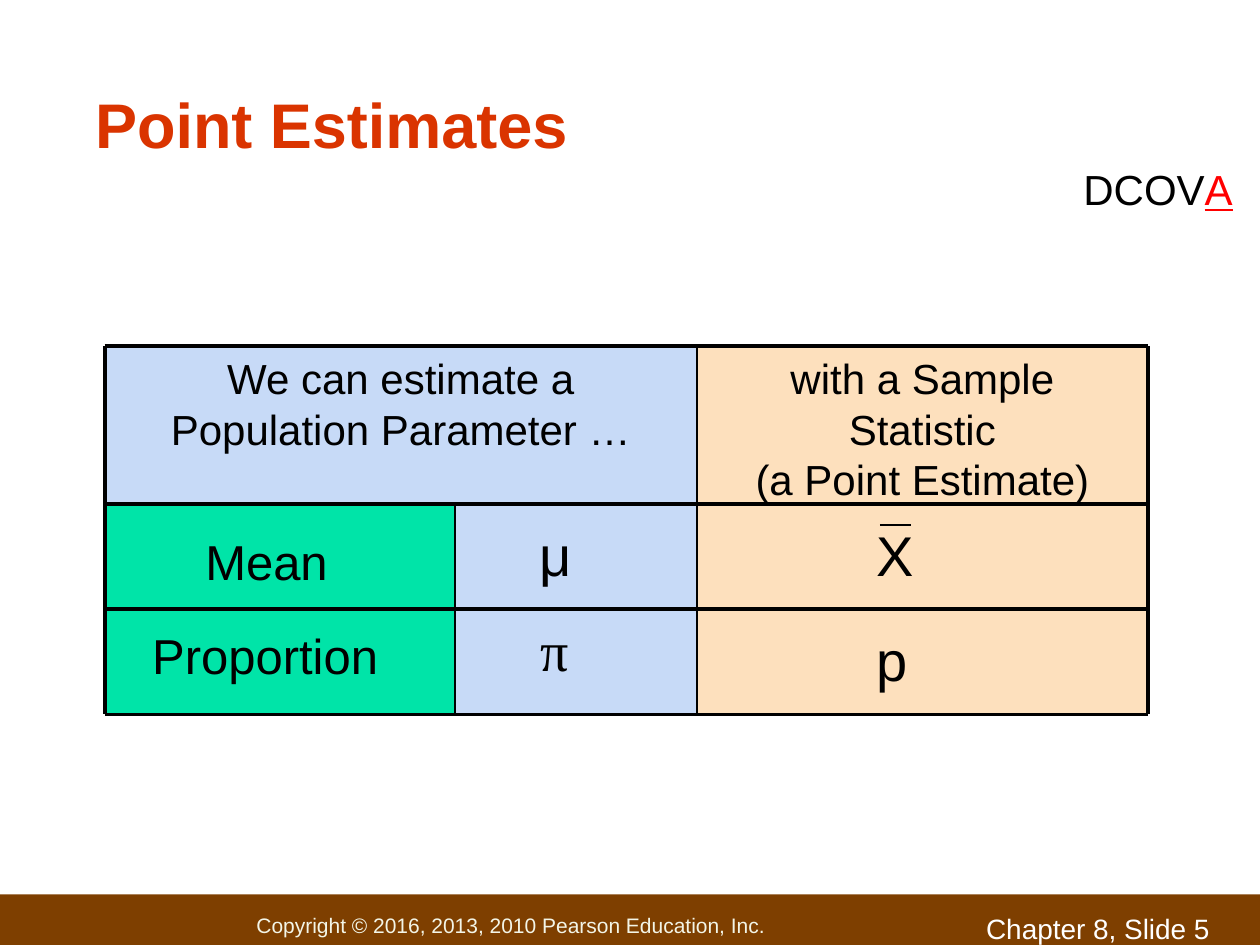
from lxml.etree import SubElement
from pptx import Presentation
from pptx.dml.color import RGBColor
from pptx.enum.shapes import MSO_CONNECTOR, MSO_SHAPE
from pptx.enum.text import MSO_ANCHOR, PP_ALIGN
from pptx.oxml.ns import qn
from pptx.util import Cm, Pt

BLACK = RGBColor(0x00, 0x00, 0x00)
WHITE = RGBColor(0xFF, 0xFF, 0xFF)
RED = RGBColor(0xFF, 0x00, 0x00)
TITLE_RED = RGBColor(0xDA, 0x34, 0x00)
BROWN = RGBColor(0x7E, 0x3F, 0x00)
CREAM = RGBColor(0xF3, 0xF5, 0xE7)
BLUE = RGBColor(0xC7, 0xDA, 0xF7)
GREEN = RGBColor(0x00, 0xE4, 0xA8)
PEACH = RGBColor(0xFD, 0xE0, 0xBD)

# Grid edges in centimetres
LEFT, SYMBOL_COL, STATISTIC_COL, RIGHT = 2.11, 9.17, 14.05, 23.14
TOP, MEAN_ROW, PROPORTION_ROW, BOTTOM = 6.98, 10.16, 12.28, 14.4


def add_span(para, text, size, color=BLACK, font="Arial", bold=False, underline=False):
    span = para.add_run()
    span.text = text
    span.font.size = Pt(size)
    span.font.name = font
    span.font.bold = bold
    span.font.underline = underline
    span.font.color.rgb = color


def set_frame(shape, anchor=MSO_ANCHOR.TOP, wrap=True, side=0.25):
    frame = shape.text_frame
    frame.word_wrap = wrap
    frame.vertical_anchor = anchor
    frame.margin_left = frame.margin_right = Cm(side)
    frame.margin_top = frame.margin_bottom = Cm(0.13)
    return frame


def add_label(page, left, top, width, height, text, size, color=BLACK,
              font="Arial", bold=False, anchor=MSO_ANCHOR.TOP, wrap=False, side=0.25):
    """Add a one-line text box and return its paragraph."""
    box = page.shapes.add_textbox(Cm(left), Cm(top), Cm(width), Cm(height))
    para = set_frame(box, anchor, wrap, side).paragraphs[0]
    add_span(para, text, size, color, font, bold)
    return para


def add_block(page, left, top, width, height, color):
    block = page.shapes.add_shape(
        MSO_SHAPE.RECTANGLE, Cm(left), Cm(top), Cm(width), Cm(height))
    block.shadow.inherit = False
    block.fill.solid()
    block.fill.fore_color.rgb = color
    block.line.fill.background()
    return block


def add_header(page, left, right, color, paragraphs):
    """Add a column heading; each paragraph is a list of lines."""
    block = add_block(page, left, TOP, right - left, MEAN_ROW - TOP, color)
    frame = set_frame(block)
    frame.margin_bottom = 0
    for index, lines in enumerate(paragraphs):
        para = frame.add_paragraph() if index else frame.paragraphs[0]
        para.alignment = PP_ALIGN.CENTER
        for number, line in enumerate(lines):
            if number:
                para.add_line_break()
            add_span(para, line, 24)


def add_rule(page, x1, y1, x2, y2, weight):
    rule = page.shapes.add_connector(
        MSO_CONNECTOR.STRAIGHT, Cm(x1), Cm(y1), Cm(x2), Cm(y2))
    rule.line.color.rgb = BLACK
    rule.line.width = Pt(weight)
    SubElement(rule._element.spPr, qn("a:effectLst"))


def add_footer(page):
    bar = add_block(page, 0, 18.03, 25.4, 1.25, BROWN)
    frame = set_frame(bar, MSO_ANCHOR.MIDDLE)
    frame.margin_left = Cm(5.17)
    frame.paragraphs[0].alignment = PP_ALIGN.LEFT
    add_span(frame.paragraphs[0],
             "Copyright © 2016, 2013, 2010 Pearson Education, Inc.", 12, CREAM)
    add_label(page, 19.63, 18.24, 5.77, 0.66, "Chapter 8, Slide 5", 16, WHITE, wrap=True)


def add_grid(page):
    edges = [LEFT, SYMBOL_COL, STATISTIC_COL, RIGHT]
    for left, right, color in zip(edges, edges[1:], [GREEN, BLUE, PEACH]):
        add_block(page, left, MEAN_ROW, right - left, BOTTOM - MEAN_ROW, color)
    add_header(page, LEFT, STATISTIC_COL, BLUE,
               [["We can estimate a"], ["Population Parameter …"]])
    add_header(page, STATISTIC_COL, RIGHT, PEACH,
               [["with a Sample", "Statistic"], ["(a Point Estimate)"]])

    for y in [TOP, MEAN_ROW, PROPORTION_ROW, BOTTOM]:
        add_rule(page, LEFT, y, RIGHT, y, 2)
    for x, top, weight in [(LEFT, TOP, 2.25), (SYMBOL_COL, MEAN_ROW, 1.5),
                           (STATISTIC_COL, TOP, 1.5), (RIGHT, TOP, 2.25)]:
        add_rule(page, x, top, x, BOTTOM, weight)


def add_entries(page):
    add_label(page, 3.89, 10.58, 2.97, 1.42, "Mean", 28)
    add_label(page, 2.82, 12.49, 5.05, 1.42, "Proportion", 28)
    mu = add_label(page, 10.36, 10.36, 1.7, 1.62, "μ", 32, wrap=True)
    mu.alignment = PP_ALIGN.CENTER
    add_label(page, 10.64, 12.28, 1.07, 1.6, "π", 32, font="Times New Roman")
    add_label(page, 17.42, 10.36, 1.27, 1.6, "X", 32)
    add_rule(page, 17.74, 10.58, 18.36, 10.58, 1.5)
    add_label(page, 17.42, 12.49, 1.14, 1.6, "p", 32)


def main():
    deck = Presentation()
    deck.slide_width, deck.slide_height = Cm(25.4), Cm(19.05)
    page = deck.slides.add_slide(deck.slide_layouts[6])
    add_footer(page)
    add_label(page, 1.69, 0.64, 22.02, 2.74, "Point Estimates", 36, TITLE_RED,
              bold=True, anchor=MSO_ANCHOR.BOTTOM, wrap=True, side=0.23)
    add_grid(page)
    add_entries(page)
    topic = add_label(page, 21.59, 3.16, 3.8, 1.27, "DCOV", 24, wrap=True)
    add_span(topic, "A", 24, RED, underline=True)
    deck.save("out.pptx")


if __name__ == "__main__":
    main()
